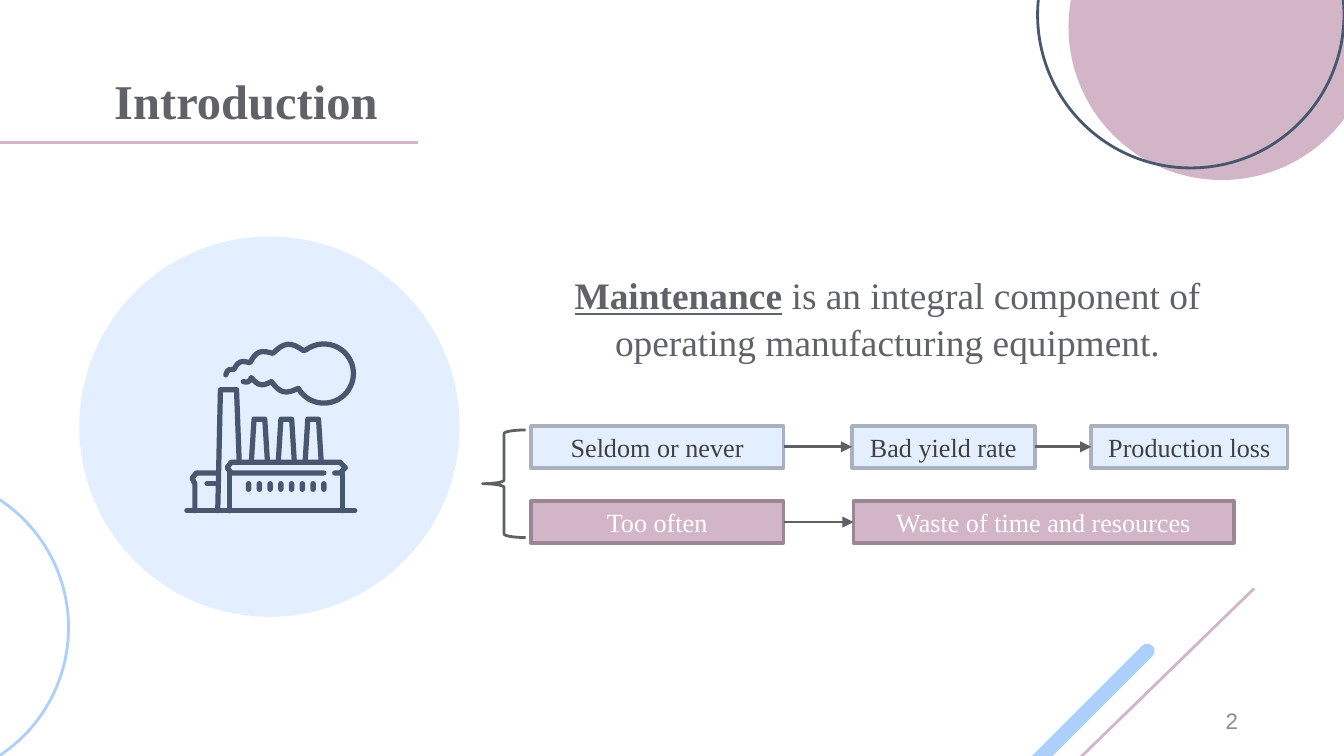
from dataclasses import dataclass
from math import cos, pi, radians, sin
from typing import NamedTuple

from lxml.etree import SubElement
from pptx import Presentation
from pptx.dml.color import RGBColor
from pptx.enum.shapes import MSO_CONNECTOR as Connector, MSO_SHAPE as Shape
from pptx.enum.text import MSO_ANCHOR as Anchor, MSO_AUTO_SIZE as AutoSize, PP_ALIGN as Align
from pptx.oxml.ns import qn
from pptx.util import Inches, Pt

CELL = Inches(0.01)  # the grid has 1000 columns and 562.5 rows
COLUMNS, ROWS = 1000, 562.5

PINK = RGBColor(0xD3, 0xB5, 0xC8)
PINK_EDGE = RGBColor(0x9C, 0x86, 0x94)
PALE_BLUE = RGBColor(0xE3, 0xEF, 0xFF)
PALE_EDGE = RGBColor(0xA8, 0xB1, 0xBD)
SKY = RGBColor(0xAC, 0xCF, 0xFB)
NAVY = RGBColor(0x49, 0x57, 0x6E)
GREY = RGBColor(0x5F, 0x63, 0x68)
ARROW_GREY = RGBColor(0x5D, 0x61, 0x66)
DARK = RGBColor(0x40, 0x40, 0x40)
NUMBER_GREY = RGBColor(0x8C, 0x8C, 0x8C)
WHITE = RGBColor(0xFF, 0xFF, 0xFF)
SERIF = "Times New Roman"


class Area(NamedTuple):
    """A place on the grid, in columns and rows."""
    left: float
    top: float
    width: float
    height: float

    def emu(self) -> list[int]:
        return [round(n * CELL) for n in self]


class Run(NamedTuple):
    text: str
    bold: bool = False
    underline: bool = False


@dataclass
class Chain:
    """A cause and its effects, read from left to right."""
    top: float
    fill: RGBColor
    edge: RGBColor
    ink: RGBColor
    steps: list[tuple[str, float, float]]  # wording, left column, width


CHAINS = [
    Chain(317, PALE_BLUE, PALE_EDGE, DARK,
          [("Seldom or never", 395, 188), ("Bad yield rate", 634, 136), ("Production loss", 812, 146)]),
    Chain(373, PINK, PINK_EDGE, WHITE,
          [("Too often", 395, 188), ("Waste of time and resources", 635, 283)]),
]
BOX_HEIGHT = 31

# Strokes of the factory, as points on the grid.
GROUND, ROOF, EAVES = 380, 344, 352
CHIMNEY = [(162, GROUND), (164, 290), (176, 290), (178, ROOF)]
STACKS = [[(x + 187, ROOF), (x + 189, 312), (x + 197, 312), (x + 199, ROOF)] for x in (0, 20, 40)]
WALLS = [[(x, EAVES), (x, GROUND)] for x in (171, 255)]
HALL_ROOF = [(241, EAVES), (172, EAVES), (169, 348), (172, ROOF),
             (253, ROOF), (257, 348), (253, EAVES), (249, EAVES)]
ANNEX = [(162, EAVES), (146, EAVES), (143, 356), (145, 360), (145, GROUND)]
FACTORY = [[(139, GROUND), (264, GROUND)], CHIMNEY, *STACKS, *WALLS, HALL_ROOF, ANNEX, [(154, 360), (161, 360)]]

# Puffs of smoke meet at these points, on both sides of a large round cloud.
UPPER_PUFFS = [(168, 279), (174, 275), (186, 270), (203, 263), (226, 261)]
LOWER_PUFFS = [(222, 289), (202, 284), (187, 281), (181, 284)]
CLOUD_X, CLOUD_Y, CLOUD_RADIUS = 241, 278, 22


def puffed(joints: list[tuple], bulge: float = 0.25, parts: int = 8) -> list[tuple]:
    """Bend each stretch between two joints outwards."""
    points = [joints[0]]
    for (x, y), (end_x, end_y) in zip(joints, joints[1:]):
        dx, dy = end_x - x, end_y - y
        for t in (i / parts for i in range(1, parts + 1)):
            lift = bulge * sin(pi * t)
            points.append((x + dx * t + dy * lift, y + dy * t - dx * lift))
    return points


def smoke() -> list[tuple]:
    turns = [radians(angle) for angle in range(-125, 150, 5)]
    cloud = [(CLOUD_X + CLOUD_RADIUS * cos(a), CLOUD_Y + CLOUD_RADIUS * sin(a)) for a in turns]
    return puffed(UPPER_PUFFS) + cloud + puffed(LOWER_PUFFS)


def paint(shape, fill: RGBColor | None = None, line: RGBColor | None = None, weight: float = 1.5):
    shape.shadow.inherit = False
    if fill is None:
        shape.fill.background()
    else:
        shape.fill.solid()
        shape.fill.fore_color.rgb = fill
    if line is None:
        shape.line.fill.background()
    else:
        shape.line.color.rgb = line
        shape.line.width = Pt(weight)
    return shape


def add_figure(shapes, kind: Shape, area: Area, **look):
    return paint(shapes.add_shape(kind, *area.emu()), **look)


def add_strokes(shapes, strokes: list[list[tuple]], color: RGBColor) -> None:
    """Draw open strokes with round ends and corners as one shape."""
    first, *others = [[(round(x * CELL), round(y * CELL)) for x, y in stroke] for stroke in strokes]
    builder = shapes.build_freeform(*first[0], scale=1.0)
    builder.add_line_segments(first[1:], close=False)
    for stroke in others:
        builder.move_to(*stroke[0])
        builder.add_line_segments(stroke[1:], close=False)
    drawing = paint(builder.convert_to_shape(), line=color, weight=2.8)
    outline = drawing._element.spPr.find(qn("a:ln"))
    outline.set("cap", "rnd")
    SubElement(outline, qn("a:round"))


def add_line(shapes, start: tuple, end: tuple, color: RGBColor, arrow: bool = False):
    line = shapes.add_connector(Connector.STRAIGHT, *(round(n * CELL) for n in start + end))
    line.line.color.rgb = color
    line.line.width = Pt(1.5)
    properties = line._element.spPr
    if arrow:
        SubElement(properties.find(qn("a:ln")), qn("a:tailEnd"), type="triangle")
    SubElement(properties, qn("a:effectLst"))
    return line


def write(shape, *runs: Run, size: float, color: RGBColor, font: str = SERIF, align: Align = Align.LEFT,
          anchor: Anchor = Anchor.MIDDLE, spacing: float = 1.0, inset: float = 5) -> None:
    frame = shape.text_frame
    frame.word_wrap = True
    frame.auto_size = AutoSize.NONE
    frame.vertical_anchor = anchor
    frame.margin_left = frame.margin_right = 10 * CELL
    frame.margin_top = frame.margin_bottom = inset * CELL
    paragraph = frame.paragraphs[0]
    paragraph.alignment = align
    paragraph.line_spacing = spacing
    for text, bold, underline in runs:
        run = paragraph.add_run()
        run.text = text
        run.font.name, run.font.size = font, Pt(size)
        run.font.bold, run.font.underline = bold, underline
        run.font.color.rgb = color


def add_decoration(shapes) -> None:
    add_figure(shapes, Shape.OVAL, Area(795, -94, 228, 228), fill=PINK)
    add_figure(shapes, Shape.OVAL, Area(772, -103, 228, 228), line=NAVY)
    bar = add_figure(shapes, Shape.ROUND_2_SAME_RECTANGLE, Area(776, 449, 11, 215), fill=SKY)
    bar.rotation = 45
    bar.adjustments[0] = 0.5
    add_line(shapes, (712, 653), (933, 438), PINK)
    add_figure(shapes, Shape.OVAL, Area(-177, 353, 228, 228), line=SKY)
    add_line(shapes, (311, 106), (0, 106), PINK)


def add_factory(shapes) -> None:
    add_figure(shapes, Shape.OVAL, Area(59, 176, 283, 283), fill=PALE_BLUE)
    add_strokes(shapes, FACTORY, NAVY)
    add_strokes(shapes, [smoke()], NAVY)
    for window in range(8):
        pane = add_figure(shapes, Shape.ROUNDED_RECTANGLE, Area(183 + 8 * window, 358, 4, 8), fill=NAVY)
        pane.adjustments[0] = 0.5


def add_chain(shapes, chain: Chain) -> None:
    previous = None
    for wording, left, width in chain.steps:
        box = add_figure(shapes, Shape.RECTANGLE, Area(left, chain.top, width, BOX_HEIGHT),
                         fill=chain.fill, line=chain.edge, weight=2)
        write(box, Run(wording), size=14, color=chain.ink, align=Align.CENTER)
        if previous is not None:
            arrow = add_line(shapes, (0, 0), (0, 0), ARROW_GREY, arrow=True)
            arrow.begin_connect(previous, 3)
            arrow.end_connect(box, 1)
        previous = box


def main() -> None:
    deck = Presentation()
    deck.slide_width, deck.slide_height = COLUMNS * CELL, round(ROWS * CELL)
    slide = deck.slides.add_slide(deck.slide_layouts[5])
    shapes = slide.shapes
    add_decoration(shapes)

    title = shapes.title
    title.left, title.top, title.width, title.height = Area(75, 48, 307, 58).emu()
    write(title, Run("Introduction", bold=True), size=26, color=GREY, anchor=Anchor.BOTTOM, inset=10)
    statement = shapes.add_textbox(*Area(395, 191, 531, 77).emu())
    write(statement, Run("Maintenance", bold=True, underline=True),
          Run(" is an integral component of operating manufacturing equipment."),
          size=20, color=GREY, align=Align.CENTER, anchor=Anchor.TOP, spacing=1.05, inset=10)

    add_factory(shapes.add_group_shape().shapes)
    page_number = shapes.add_textbox(*Area(706, 521, 225, 30).emu())
    write(page_number, Run("2"), size=12, color=NUMBER_GREY, font="Arial", align=Align.RIGHT)
    for chain in CHAINS:
        add_chain(shapes, chain)
    add_figure(shapes, Shape.LEFT_BRACE, Area(359, 320, 32, 80), line=ARROW_GREY)
    deck.save("out.pptx")


if __name__ == "__main__":
    main()
